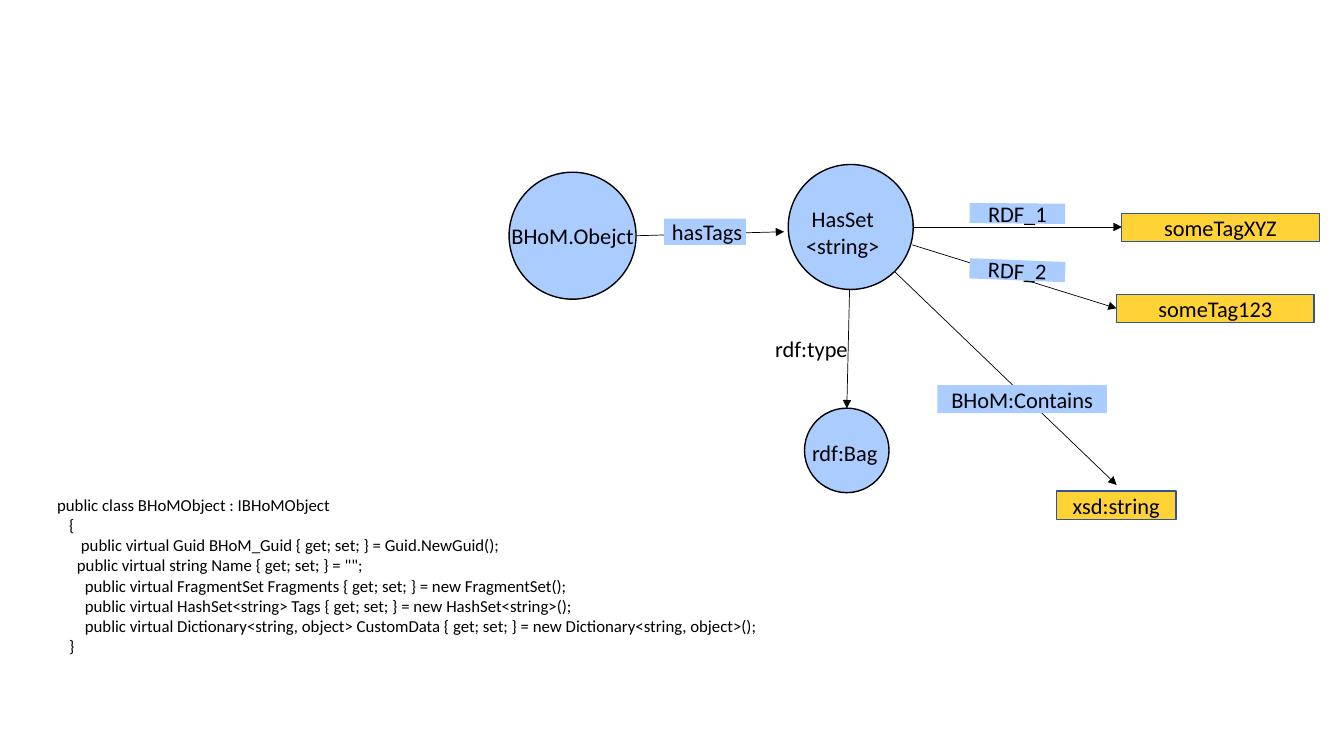
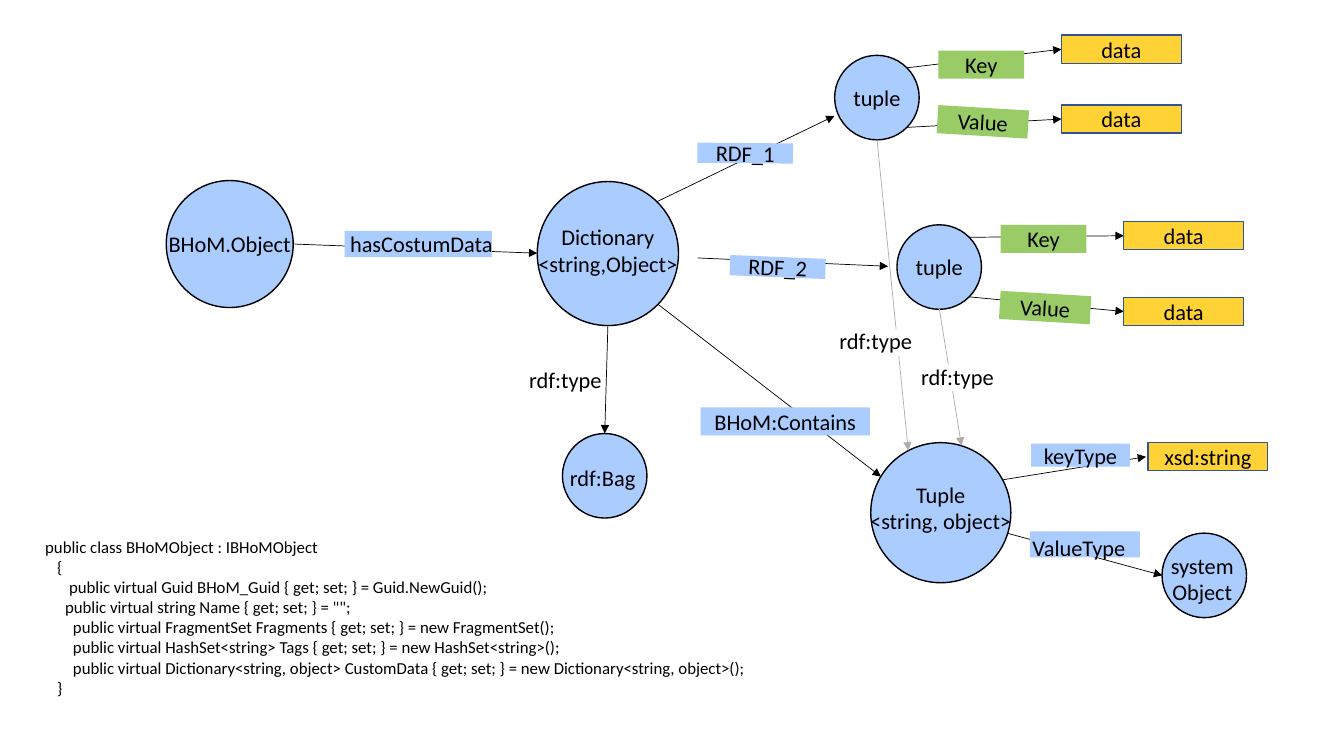
from lxml.etree import SubElement
from pptx import Presentation
from pptx.dml.color import RGBColor
from pptx.enum.shapes import MSO_CONNECTOR, MSO_SHAPE
from pptx.enum.text import MSO_ANCHOR, PP_ALIGN
from pptx.oxml import parse_xml
from pptx.oxml.ns import nsdecls, qn
from pptx.util import Cm, Pt

# Shared colours and sizes (cm)
BLACK = RGBColor(0x00, 0x00, 0x00)
GREY = RGBColor(0xAF, 0xAB, 0xAB)
BLUE = RGBColor(0xAA, 0xCC, 0xFF)
GREEN = RGBColor(0x99, 0xCC, 0x66)
YELLOW = RGBColor(0xFF, 0xD2, 0x35)
NAVY = RGBColor(0x32, 0x54, 0x91)
FONT = "Calibri"
LARGE, SMALL = 3.2, 2.13
BAR = 0.71
CONTAINS = (4.27, BAR)
RDF = (2.41, 0.51)
TAG, VALUE = 4.98, 3.02
INDENT_STEP = 0.1

# Each code line with its indent in steps
CODE = [
    (1, "public class BHoMObject : IBHoMObject"),
    (4, "{"),
    (7, "public virtual Guid BHoM_Guid { get; set; } = Guid.NewGuid();"),
    (6, 'public virtual string Name { get; set; } = "";'),
    (8, "public virtual FragmentSet Fragments { get; set; } = new FragmentSet();"),
    (8, "public virtual HashSet<string> Tags { get; set; } = new HashSet<string>();"),
    (8, "public virtual Dictionary<string, object> CustomData { get; set; } = "
        "new Dictionary<string, object>();"),
    (4, "}"),
]


def write(frame, text, size=16, align=PP_ALIGN.CENTER, indents=(), highlight=None):
    """Write each line of text as one paragraph."""
    for index, line in enumerate(text.split("\n")):
        paragraph = frame.paragraphs[0] if index == 0 else frame.add_paragraph()
        paragraph.alignment = align
        if indents:
            margin = Cm(indents[index] * INDENT_STEP)
            paragraph._p.get_or_add_pPr().set("marL", str(margin))
        run = paragraph.add_run()
        run.text = line
        run.font.name, run.font.size = FONT, Pt(size)
        run.font.color.rgb = BLACK
        if highlight:
            run._r.rPr.find(qn("a:solidFill")).addnext(parse_xml(
                f'<a:highlight {nsdecls("a")}><a:srgbClr val="{highlight}"/></a:highlight>'))


class Graph:
    """Draws nodes, literals, labels and arrows on the current slide."""

    def __init__(self, presentation):
        self.presentation = presentation
        self.slide = None

    def new_slide(self):
        blank = self.presentation.slide_layouts[6]
        self.slide = self.presentation.slides.add_slide(blank)

    def block(self, kind, text, center, size, fill, line=None, angle=0, shift=(0, 0)):
        (x, y), (width, height) = center, size
        shape = self.slide.shapes.add_shape(
            kind, Cm(x - width / 2), Cm(y - height / 2), Cm(width), Cm(height))
        shape.shadow.inherit = False
        shape.rotation = angle
        shape.fill.solid()
        shape.fill.fore_color.rgb = fill
        if line is None:
            shape.line.fill.background()
        else:
            shape.line.color.rgb = line
            shape.line.width = Pt(1)
        frame = shape.text_frame
        frame.word_wrap = False
        frame.vertical_anchor = MSO_ANCHOR.MIDDLE
        # A margin moves centred text by half its own length
        dx, dy = shift
        frame.margin_left, frame.margin_right = Cm(max(2 * dx, 0)), Cm(max(-2 * dx, 0))
        frame.margin_top, frame.margin_bottom = Cm(max(2 * dy, 0)), Cm(max(-2 * dy, 0))
        write(frame, text)

    def node(self, text, center, width, height=None, shift=(0, 0)):
        self.block(MSO_SHAPE.OVAL, text, center, (width, height or width),
                   BLUE, line=BLACK, shift=shift)

    def literal(self, text, center, width=VALUE):
        self.block(MSO_SHAPE.RECTANGLE, text, center, (width, BAR), YELLOW, line=NAVY)

    def label(self, text, center, size, fill=BLUE, angle=0, shift=(0, 0)):
        self.block(MSO_SHAPE.RECTANGLE, text, center, size, fill, angle=angle, shift=shift)

    def type_label(self, center, highlight=None):
        x, y = center
        width, height = 2.49, 0.94
        box = self.slide.shapes.add_textbox(
            Cm(x - width / 2), Cm(y - height / 2), Cm(width), Cm(height))
        box.text_frame.word_wrap = True
        write(box.text_frame, "rdf:type", highlight=highlight)

    def arrow(self, start, end, color=BLACK):
        arrow = self.slide.shapes.add_connector(
            MSO_CONNECTOR.STRAIGHT, *(Cm(value) for value in (*start, *end)))
        arrow.line.color.rgb = color
        arrow.line.width = Pt(0.5)
        SubElement(arrow.line._get_or_add_ln(), qn("a:tailEnd"), type="triangle")
        SubElement(arrow._element.spPr, qn("a:effectLst"))

    def code(self, left, top):
        box = self.slide.shapes.add_textbox(Cm(left), Cm(top), Cm(23.29), Cm(4.37))
        box.text_frame.word_wrap = True
        indents, lines = zip(*CODE)
        write(box.text_frame, "\n".join(lines), size=12,
              align=PP_ALIGN.LEFT, indents=indents)

    def tuple_node(self, x, y, key_y, key_data_y, value_y, value_data_y):
        """Draw a tuple with its key and value branches."""
        branches = [
            ("Key", -0.75, 2.63, key_y, 2.16, 0, key_data_y),
            ("Value", 0.75, 2.67, value_y, 2.29, 3.4, value_data_y),
        ]
        for name, start_dy, label_dx, label_y, width, angle, data_y in branches:
            self.arrow((x + 0.75, y + start_dy), (x + 4.65, data_y))
            self.label(name, (x + label_dx, label_y), (width, BAR), GREEN, angle)
            self.literal("data", (x + 6.16, data_y))
        self.node("tuple", (x, y), SMALL)


prs = Presentation()
prs.slide_width, prs.slide_height = Cm(33.87), Cm(19.05)
graph = Graph(prs)

# Slide 1: tags as a set of strings
graph.new_slide()
for start, end in [
    ((16.03, 5.94), (19.76, 5.84)),
    ((22.99, 5.72), (28.27, 5.72)),
    ((21.41, 7.29), (21.34, 10.29)),
    ((22.99, 6.17), (28.14, 7.77)),
    ((22.53, 6.83), (28.14, 12.22)),
]:
    graph.arrow(start, end)
graph.node("BHoM.Obejct", (14.43, 5.94), LARGE)
graph.node("HasSet\n<string>", (21.44, 5.72), 3.15, shift=(-0.2, 0.13))
graph.node("rdf:Bag", (21.34, 11.35), SMALL, shift=(-0.05, 0.05))
graph.label("hasTags", (17.77, 5.84), (2.06, 0.66), shift=(0.05, 0))
graph.label("RDF_1", (25.64, 5.38), RDF, angle=0.5)
graph.label("RDF_2", (25.64, 6.81), RDF, angle=2.3)
graph.label("BHoM:Contains", (25.76, 10.06), CONTAINS)
graph.type_label((20.45, 8.78))
graph.literal("someTagXYZ", (30.76, 5.74), TAG)
graph.literal("someTag123", (30.63, 7.77), TAG)
graph.literal("xsd:string", (28.13, 12.73))
graph.code(1.09, 12.34)

# Slide 2: custom data as a dictionary of tuples
graph.new_slide()
for start, end in [
    ((7.42, 6.15), (13.54, 6.38)),
    ((16.56, 5.08), (21.03, 2.92)),
    ((15.32, 8.18), (15.24, 10.92)),
    ((17.58, 6.5), (22.38, 6.71)),
    ((16.56, 7.65), (22.2, 12.01)),
    ((25.27, 12.09), (28.88, 11.51)),
    ((25.4, 13.44), (29.29, 14.5)),
]:
    graph.arrow(start, end)
graph.node("BHoM.Object", (5.79, 6.15), LARGE)
graph.node("Dictionary\n<string,Object>", (15.32, 6.39), 3.56, 3.63, shift=(0, -0.08))
graph.node("rdf:Bag", (15.24, 11.99), SMALL, shift=(-0.05, 0.05))
graph.node("Tuple\n<string, object>", (23.71, 12.92), 3.53, shift=(0, -0.13))
graph.node("system\nObject", (30.35, 14.5), SMALL, shift=(-0.05, 0.08))
graph.label("hasCostumData", (10.54, 6.15), (3.71, 0.66), shift=(0.08, 0))
graph.label("RDF_1", (18.78, 3.86), RDF, angle=0.5)
graph.label("RDF_2", (19.6, 6.73), RDF, angle=2.3)
graph.label("BHoM:Contains", (19.79, 10.62), CONTAINS)
graph.label("keyType", (27.23, 11.47), (2.49, 0.58))
graph.label("ValueType", (27.34, 13.72), (2.77, 0.66), shift=(-0.15, 0.08))
graph.literal("xsd:string", (30.44, 11.51))
graph.tuple_node(22.1, 2.46, 1.63, 1.24, 3.07, 3)
graph.tuple_node(23.67, 6.73, 6.02, 5.94, 7.75, 7.85)

# Types of the nodes
graph.arrow((23.67, 7.77), (24.23, 11.23), GREY)
graph.arrow((22.1, 3.51), (22.89, 11.35), GREY)
graph.type_label((14.25, 9.56))
graph.type_label((24.13, 9.49), highlight="FFFFFF")
graph.type_label((22.07, 8.6), highlight="FFFFFF")
graph.code(0.79, 13.39)

prs.save("out.pptx")
